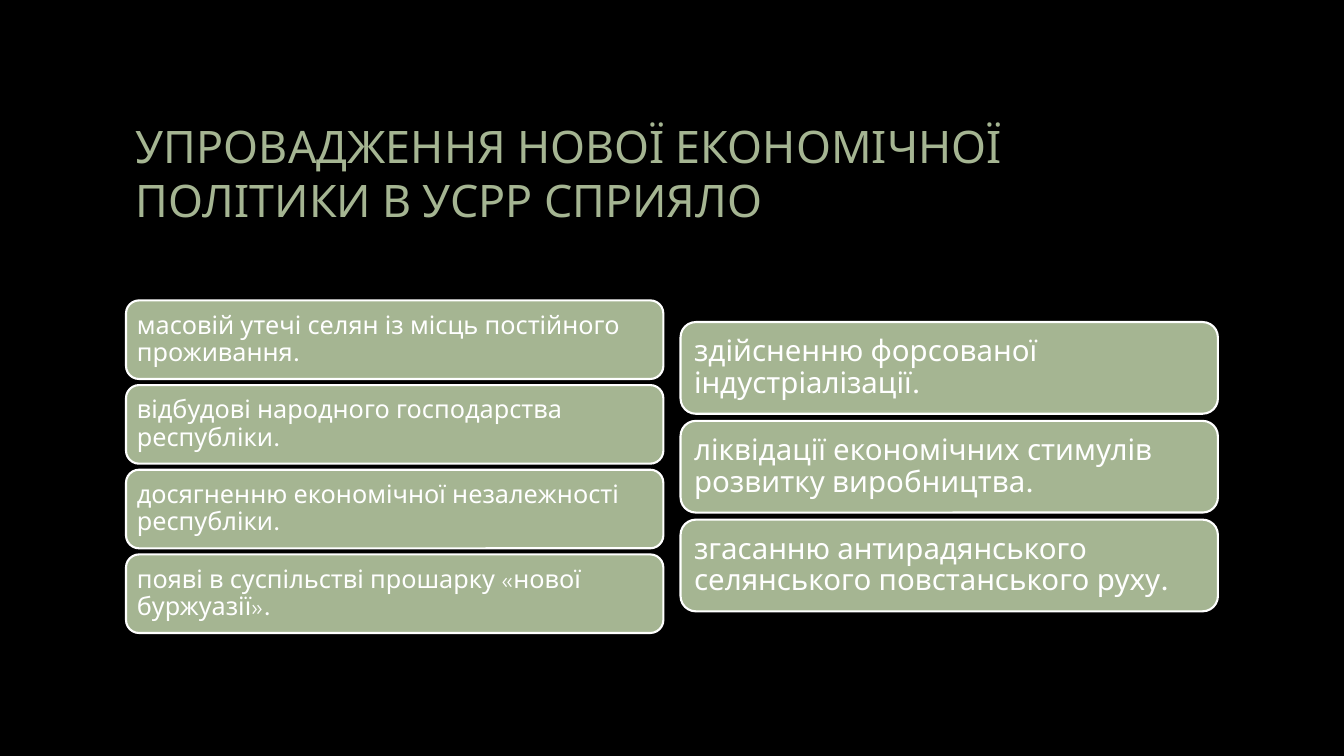
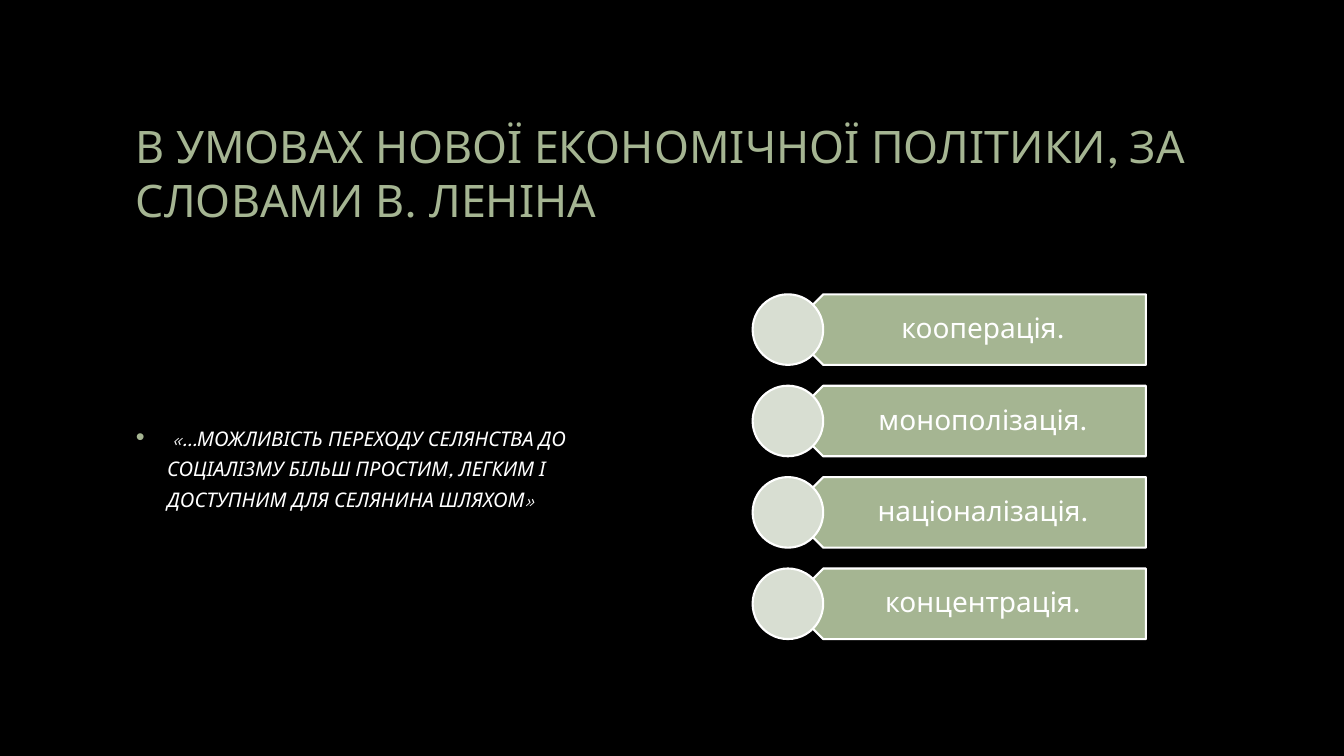
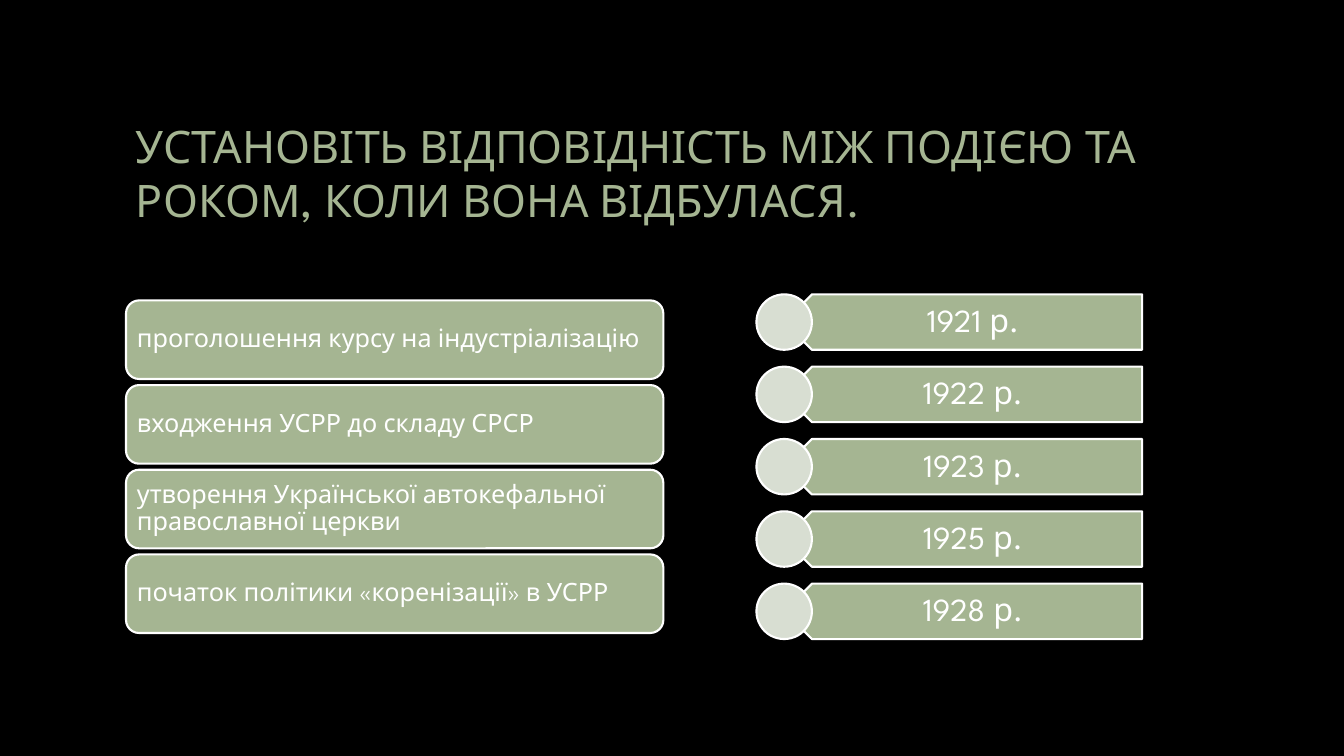
"""Build three quiz slides on the New Economic Policy in the Ukrainian SSR."""
from dataclasses import dataclass

from lxml.etree import SubElement
from pptx import Presentation
from pptx.dml.color import RGBColor as RGB
from pptx.enum.shapes import MSO_SHAPE as Shape
from pptx.enum.text import MSO_ANCHOR as Anchor, PP_ALIGN as Align
from pptx.oxml.ns import qn
from pptx.util import Inches, Pt

SLIDES = [
    ("УПРОВАДЖЕННЯ НОВОЇ ЕКОНОМІЧНОЇ ПОЛІТИКИ В УСРР СПРИЯЛО",
     ("cards", ["масовій утечі селян із місць постійного проживання.",
                "відбудові народного господарства республіки.",
                "досягненню економічної незалежності республіки.",
                "появі в суспільстві прошарку «нової буржуазії»."]),
     ("cards", ["здійсненню форсованої індустріалізації.",
                "ліквідації економічних стимулів розвитку виробництва.",
                "згасанню антирадянського селянського повстанського руху."])),
    ("В УМОВАХ НОВОЇ ЕКОНОМІЧНОЇ ПОЛІТИКИ, ЗА СЛОВАМИ В. ЛЕНІНА",
     ("quote", " «…можливість переходу селянства до соціалізму більш простим, "
               "легким і доступним для селянина шляхом»"),
     ("plates", ["кооперація.", "монополізація.", "націоналізація.", "концентрація."])),
    ("УСТАНОВІТЬ ВІДПОВІДНІСТЬ МІЖ ПОДІЄЮ ТА РОКОМ, КОЛИ ВОНА ВІДБУЛАСЯ.",
     ("cards", ["проголошення курсу на індустріалізацію",
                "входження УСРР до складу СРСР",
                "утворення Української автокефальної православної церкви",
                "початок політики «коренізації» в УСРР"]),
     ("plates", ["1921 р.", "1922 р.", "1923 р.", "1925 р.", "1928 р."])),
]


@dataclass(frozen=True)
class Theme:
    font: str = "League Spartan"
    back: RGB = RGB(0, 0, 0)
    accent: RGB = RGB(0xA5, 0xB5, 0x92)
    pale: RGB = RGB(0xD8, 0xDE, 0xD2)
    text: RGB = RGB(0xFF, 0xFF, 0xFF)
    title: int = 32
    quote: int = 18
    line: float = 1.5


T = Theme()
WIDTH, HEIGHT = 13.33, 7.5
MARGIN, COL_W, COL_GAP = 1.25, 5.33, 0.17
COLUMNS = [MARGIN + i * (COL_W + COL_GAP) for i in range(2)]
TITLE = (MARGIN, 0.67, WIDTH - 2 * MARGIN, 2.08)
BODY_Y, BODY_H = 2.92, 3.42
PLATE_W = 3.55
CARD_STYLES = {4: (0.78, 0.06, 18, 0.07), 3: (0.91, 0.07, 21, 0.09)}
PLATE_STYLES = {4: (0.7, 20, (0.31, 0.08, 0.16, 0.08)),
                5: (0.55, 23, (0.24, 0.1, 0.18, 0.1))}


def add_shape(s, kind, x, y, w, h, fill):
    sp = s.shapes.add_shape(kind, *map(Inches, (x, y, w, h)))
    sp.shadow.inherit = False
    sp.fill.solid()
    sp.fill.fore_color.rgb = fill
    sp.line.color.rgb = T.text
    sp.line.width = Pt(T.line)
    return sp


def add_box(s, x, y, w, h):
    return s.shapes.add_textbox(*map(Inches, (x, y, w, h)))


def write(sp, text, size, color=T.text, align=Align.LEFT, spacing=None,
          insets=(0.1, 0.05, 0.1, 0.05)):
    tf = sp.text_frame
    tf.word_wrap = True
    tf.vertical_anchor = Anchor.MIDDLE
    tf.margin_left, tf.margin_top, tf.margin_right, tf.margin_bottom = map(Inches, insets)
    p = tf.paragraphs[0]
    p.alignment = align
    p.line_spacing = spacing
    r = p.add_run()
    r.text = text
    r.font.name, r.font.size = T.font, Pt(size)
    r.font.color.rgb = color
    return p, r


def cards(s, x, items):
    h, gap, size, inset = CARD_STYLES[len(items)]
    pitch = h + gap
    top = BODY_Y + (BODY_H - len(items) * pitch + gap) / 2
    for i, item in enumerate(items):
        sp = add_shape(s, Shape.ROUNDED_RECTANGLE, x, top + i * pitch, COL_W, h, T.accent)
        write(sp, item, size, spacing=0.9, insets=(inset,) * 4)


def plates(s, x, items):
    h, size, insets = PLATE_STYLES[len(items)]
    pitch = (BODY_H - h) / (len(items) - 1)
    left = x + (COL_W - PLATE_W - h / 2) / 2
    plate_x = left + h / 2
    for i, item in enumerate(items):
        y = BODY_Y + i * pitch
        add_shape(s, Shape.PENTAGON, plate_x, y, PLATE_W, h, T.accent).rotation = 180
        label = add_box(s, plate_x + h / 4, y, PLATE_W - h / 4, h)
        write(label, item, size, align=Align.CENTER, spacing=0.9, insets=insets)
        add_shape(s, Shape.OVAL, left, y, h, h, T.pale)


def quote(s, x, text):
    p, r = write(add_box(s, x, BODY_Y, COL_W, BODY_H), text, T.quote)
    r.font.italic = True
    r.font._element.set("cap", "small")
    p.space_after = Pt(6)
    pPr = p._p.get_or_add_pPr()
    pPr.set("marL", str(Inches(0.31)))
    pPr.set("indent", str(Inches(-0.31)))
    SubElement(SubElement(pPr, qn("a:buClr")), qn("a:srgbClr"), val=str(T.accent))
    SubElement(pPr, qn("a:buFont"), typeface="Arial")
    SubElement(pPr, qn("a:buChar"), char="•")


def main():
    prs = Presentation()
    prs.slide_width, prs.slide_height = Inches(WIDTH), Inches(HEIGHT)
    back = prs.slide_master.background.fill
    back.solid()
    back.fore_color.rgb = T.back
    draw = {"cards": cards, "plates": plates, "quote": quote}
    for title, *parts in SLIDES:
        s = prs.slides.add_slide(prs.slide_layouts[6])
        write(add_box(s, *TITLE), title, T.title, T.accent)
        for x, (kind, content) in zip(COLUMNS, parts):
            draw[kind](s, x, content)
    prs.save("out.pptx")


if __name__ == "__main__":
    main()
